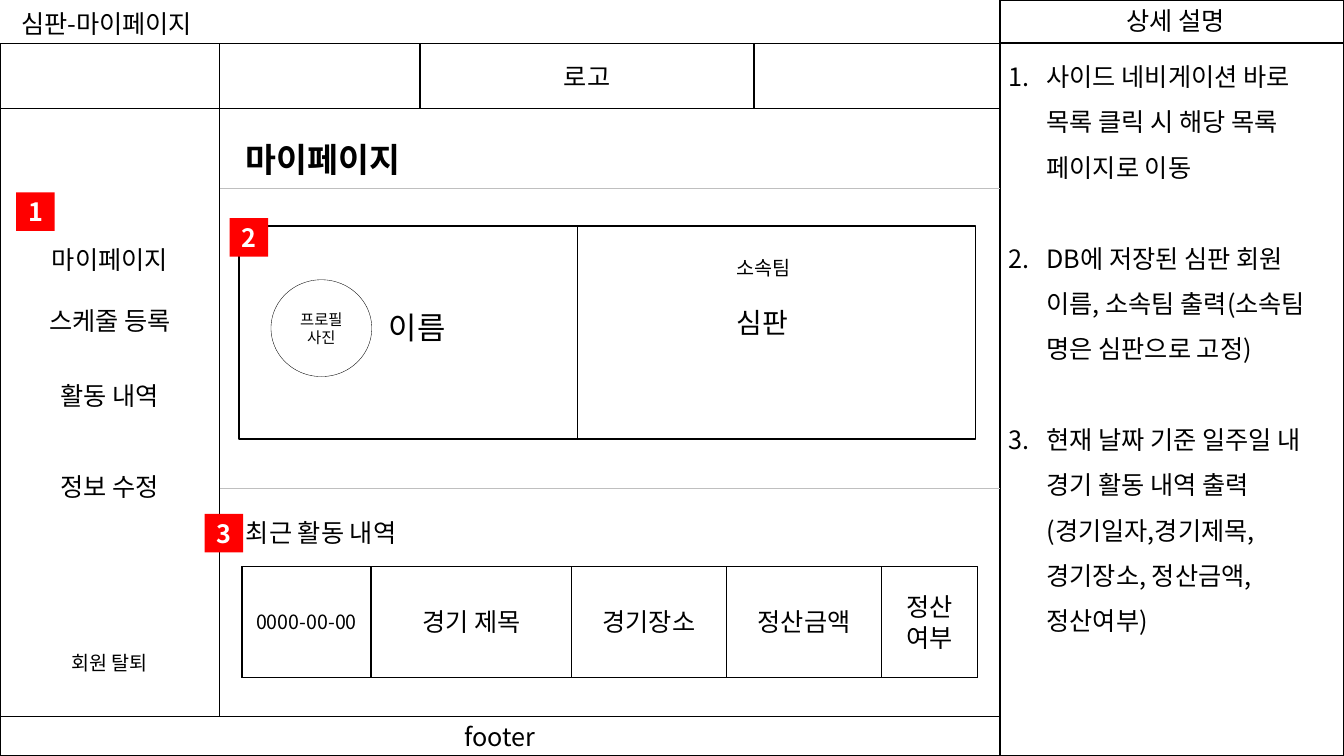
from lxml.etree import SubElement
from pptx import Presentation
from pptx.dml.color import RGBColor
from pptx.enum.shapes import MSO_CONNECTOR, MSO_SHAPE
from pptx.enum.text import MSO_ANCHOR, MSO_AUTO_SIZE, PP_ALIGN
from pptx.oxml.ns import qn
from pptx.util import Cm, Pt

FONT = "Noto Sans CJK KR"
BLACK, WHITE, RED, GRAY = "000000", "FFFFFF", "FF0000", "BFBFBF"


def paint(code):
    return RGBColor.from_string(code)


def place(shape, box):
    shape.left, shape.top, shape.width, shape.height = map(Cm, box)


def write(shape, text, size, color=BLACK, bold=False,
          align=PP_ALIGN.LEFT, anchor=MSO_ANCHOR.TOP):
    frame = shape.text_frame
    frame.text = text
    frame.word_wrap = True
    frame.auto_size = MSO_AUTO_SIZE.NONE
    frame.vertical_anchor = anchor
    for para in frame.paragraphs:
        para.alignment = align
        for run in para.runs:
            run.font.size = Pt(size)
            run.font.bold = bold
            run.font.color.rgb = paint(color)
            run.font.name = FONT
    for props in shape.element.iter(qn("a:rPr")):
        SubElement(props, qn("a:ea"), typeface=FONT)


def label(slide, box, text, size, **style):
    shape = slide.shapes.add_textbox(*map(Cm, box))
    write(shape, text, size, **style)
    return shape


def frame(slide, box, text="", size=18, fill=WHITE, width=1,
          kind=MSO_SHAPE.RECTANGLE, color=BLACK, bold=False):
    shape = slide.shapes.add_shape(kind, *map(Cm, box))
    shape.shadow.inherit = False
    if fill:
        shape.fill.solid()
        shape.fill.fore_color.rgb = paint(fill)
    else:
        shape.fill.background()
    if width:
        shape.line.color.rgb = paint(BLACK)
        shape.line.width = Pt(width)
    else:
        shape.line.fill.background()
    if text:
        write(shape, text, size, color, bold, PP_ALIGN.CENTER, MSO_ANCHOR.MIDDLE)


def badge(slide, left, top, text):
    frame(slide, (left, top, 0.97, 0.97), text, fill=RED, width=0,
          color=WHITE, bold=True)


def rule(slide, left, top, width):
    line = slide.shapes.add_connector(
        MSO_CONNECTOR.STRAIGHT, Cm(left), Cm(top), Cm(left + width), Cm(top))
    line.line.color.rgb = paint(GRAY)
    line.line.width = Pt(0.75)
    SubElement(line.element.find(qn("p:spPr")), qn("a:effectLst"))


def header(slide, box):
    left, top, width, height = box
    title = slide.shapes.title
    place(title, (left + 0.28, 0.08, 8, 1.02))
    write(title, "심판-마이페이지", 18)
    frame(slide, box)
    frame(slide, (left + 10.59, top, 8.41, height), "로고")


def sidebar(slide, box):
    left, top, width, height = box
    frame(slide, box, fill=None)
    menu = label(slide, (left + 0.41, top + 4.95, 4.72, 7.8),
                 "마이페이지\n스케줄 등록\n활동 내역\n정보 수정", 18,
                 align=PP_ALIGN.CENTER)
    gaps = (0, 21.6, 21.6, 32.4)
    leads = (1, 1, 1.5, 1.5)
    for para, gap, lead in zip(menu.text_frame.paragraphs, gaps, leads):
        para.space_before = Pt(gap)
        para.line_spacing = lead
    label(slide, (left + 1.55, top + 15.19, 3.33, 0.86), "회원 탈퇴", 14)
    badge(slide, left + 0.41, top + 3.76, "1")


def profile(slide, box):
    left, top, width, height = box
    frame(slide, box)
    frame(slide, (left + 0.81, top + 1.35, 2.54, 2.44), "프로필 사진", 11,
          fill=None, width=0.25, kind=MSO_SHAPE.OVAL)
    label(slide, (left + 3.53, top + 1.96, 2.08, 1.19), "이름", 22)
    frame(slide, (left, top, 8.53, height), fill=None, width=0.25)
    label(slide, (left + 12.29, top + 0.63, 2, 0.86), "소속팀", 14)
    label(slide, (left + 12.29, top + 1.88, 2.39, 1.12), "심판", 20)
    badge(slide, left - 0.23, top - 0.2, "2")


def record(slide, box):
    left, top, width, height = box
    label(slide, (left - 0.15, top - 1.37, 6.83, 1.02), "최근 활동 내역", 18)
    badge(slide, left - 0.94, top - 1.32, "3")
    frame(slide, box)
    cells = (("0000-00-00", 14, 3.25), ("경기 제목", 18, 5.05),
             ("경기장소", 18, 3.91), ("정산금액", 18, 3.91),
             ("정산\n여부", 18, 2.42))
    for text, size, span in cells:
        frame(slide, (left, top, span, height), text, size)
        left += span


def content(slide, box):
    left, top, width, height = box
    label(slide, (left + 0.4, top + 0.64, 7.47, 1.27), "마이페이지", 24, bold=True)
    rule(slide, left, top + 2.01, width)
    profile(slide, (left + 0.48, top + 2.96, 18.57, 5.36))
    rule(slide, left, top + 9.58, width)
    record(slide, (left + 0.56, top + 11.53, 18.54, 2.8))


def detail(slide, box):
    left, top, width, height = box
    head = 1.09
    frame(slide, (left, top + head, width, height - head))
    frame(slide, (left, top, width, head))
    label(slide, (left + 2.94, top, 3.6, 1.02), "상세 설명", 18)
    body = slide.placeholders[1]
    body.element.getparent().append(body.element)
    place(body, (left - 0.03, top + 1.04, width + 0.04, 16.26))
    notes = (
        "사이드 네비게이션 바로 목록 클릭 시 해당 목록 페이지로 이동",
        "DB에 저장된 심판 회원 이름, 소속팀 출력(소속팀 명은 심판으로 고정)",
        "현재 날짜 기준 일주일 내 경기 활동 내역 출력"
        "(경기일자,경기제목, 경기장소, 정산금액, 정산여부)",
    )
    write(body, "\n".join(notes), 18)
    for item in body.element.iter(qn("a:p")):
        props = item.get_or_add_pPr()
        props.set("marL", str(Cm(0.95)))
        props.set("indent", str(-Cm(0.95)))
        SubElement(props, qn("a:buFont"), typeface=FONT)
        SubElement(props, qn("a:buAutoNum"), type="arabicPeriod")
    for index, para in enumerate(body.text_frame.paragraphs):
        para.line_spacing = 1.5
        para.space_before = Pt(32.4 if index else 0)
        para.space_after = Pt(0)


def main():
    deck = Presentation()
    deck.slide_width, deck.slide_height = Cm(33.87), Cm(19.05)
    slide = deck.slides.add_slide(deck.slide_layouts[1])
    detail(slide, (25.2, 0, 8.67, 19.05))
    header(slide, (0, 1.09, 25.2, 1.65))
    frame(slide, (0, 18.06, 25.2, 0.99), "footer")
    sidebar(slide, (0, 1.09, 5.54, 16.97))
    content(slide, (5.54, 2.74, 19.66, 15.32))
    deck.save("out.pptx")


if __name__ == "__main__":
    main()
